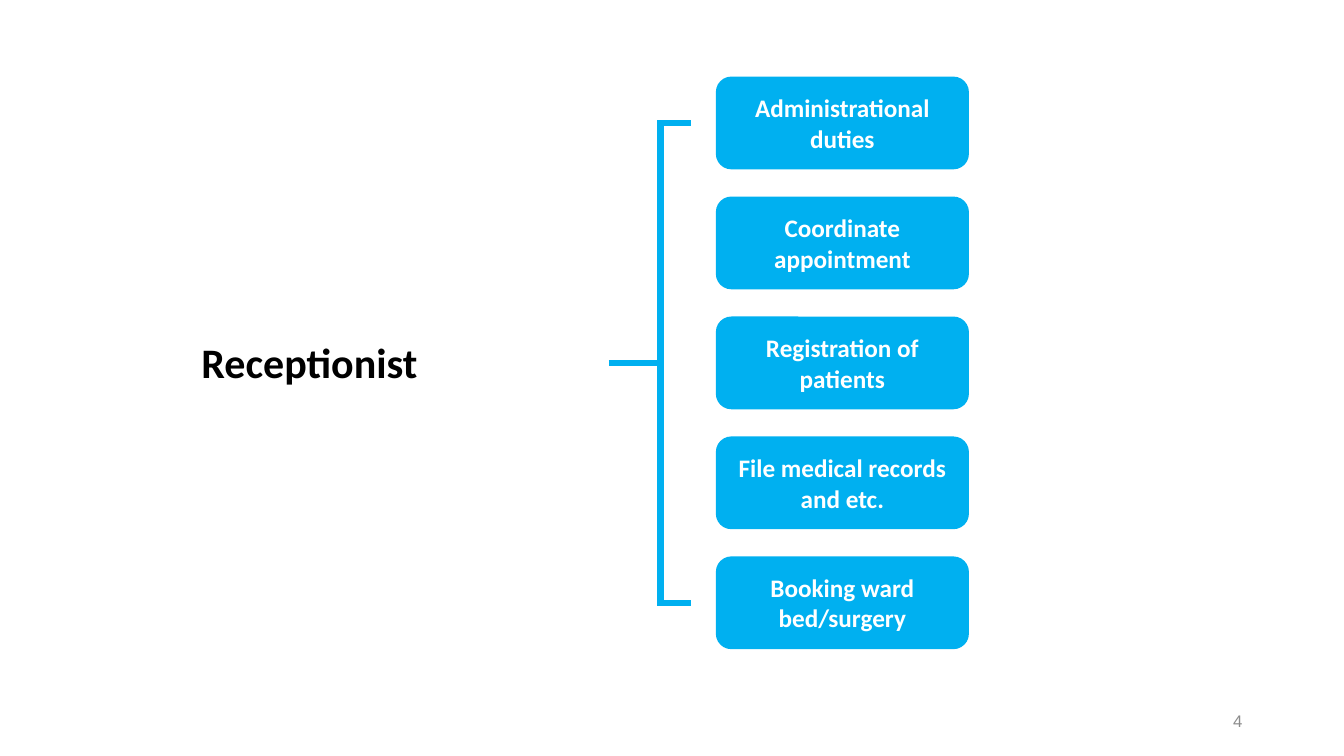
from lxml import etree
from pptx import Presentation
from pptx import util as u
from pptx.dml.color import RGBColor
from pptx.enum import shapes, text
from pptx.oxml.ns import qn

BLUE = "00B0F0"
DUTIES = [
    "Administrational duties",
    "Coordinate appointment",
    "Registration of patients",
    "File medical records and etc.",
    "Booking ward bed/surgery",
]
DUTY_LEFT, DUTY_TOP, DUTY_WIDTH, DUTY_HEIGHT = 7.1, 0.76, 2.51, 0.92
DUTY_PITCH = 1.19


def color(value):
    return RGBColor.from_string(value)


def write(shape, content, align, font_color, **font_values):
    paragraph = shape.text_frame.paragraphs[0]
    paragraph.text = content
    paragraph.alignment = align
    font = paragraph.runs[0].font
    for name, value in font_values.items():
        setattr(font, name, value)
    font.color.rgb = color(font_color)


def add_duty(slide, top, content):
    shape = slide.shapes.add_shape(
        shapes.MSO_SHAPE.ROUNDED_RECTANGLE,
        *map(u.Inches, (DUTY_LEFT, top, DUTY_WIDTH, DUTY_HEIGHT)))
    shape.shadow.inherit = False
    shape.fill.solid()
    shape.fill.fore_color.rgb = color(BLUE)
    shape.line.fill.background()
    shape.text_frame.word_wrap = True
    shape.text_frame.vertical_anchor = text.MSO_ANCHOR.MIDDLE
    write(shape, content, text.PP_ALIGN.CENTER, "FFFFFF",
          name="Calibri", size=u.Pt(18), bold=True)


def add_line(slide, *ends):
    line = slide.shapes.add_connector(
        shapes.MSO_CONNECTOR.STRAIGHT, *map(u.Inches, ends))
    line.line.color.rgb = color(BLUE)
    line.line.width = u.Pt(4.5)
    etree.SubElement(line._element.spPr, qn("a:effectLst"))


def add_label(slide, box, content, align, font_color, frame_values, **font_values):
    label = slide.shapes.add_textbox(*map(u.Inches, box))
    for name, value in frame_values.items():
        setattr(label.text_frame, name, value)
    write(label, content, align, font_color, **font_values)


def main():
    presentation = Presentation()
    presentation.slide_width = u.Inches(13.33)
    presentation.slide_height = u.Inches(7.5)
    slide = presentation.slides.add_slide(presentation.slide_layouts[6])

    # Duties, evenly spaced in one column
    for index, duty in enumerate(DUTIES):
        add_duty(slide, DUTY_TOP + index * DUTY_PITCH, duty)

    # Bracket from the role to the first and last duty
    first = DUTY_TOP + DUTY_HEIGHT / 2
    last = first + (len(DUTIES) - 1) * DUTY_PITCH
    add_line(slide, 6.04, (first + last) / 2, 6.52, (first + last) / 2)
    for level in (first, last):
        add_line(slide, 6.52, level, 6.85, level)
    add_line(slide, 6.55, 1.2, 6.55, last)

    # Role
    add_label(slide, (1.9, 3.29, 2.73, 0.61), "Receptionist",
              text.PP_ALIGN.LEFT, "000000",
              {"word_wrap": False, "auto_size": text.MSO_AUTO_SIZE.SHAPE_TO_FIT_TEXT},
              name="Calibri", size=u.Pt(30), bold=True)

    # Page number
    add_label(slide, (9.42, 6.95, 3, 0.4), "4",
              text.PP_ALIGN.RIGHT, "8C8C8C",
              {"word_wrap": True, "vertical_anchor": text.MSO_ANCHOR.MIDDLE},
              name="Arial", size=u.Pt(12))

    presentation.save("out.pptx")


if __name__ == "__main__":
    main()
